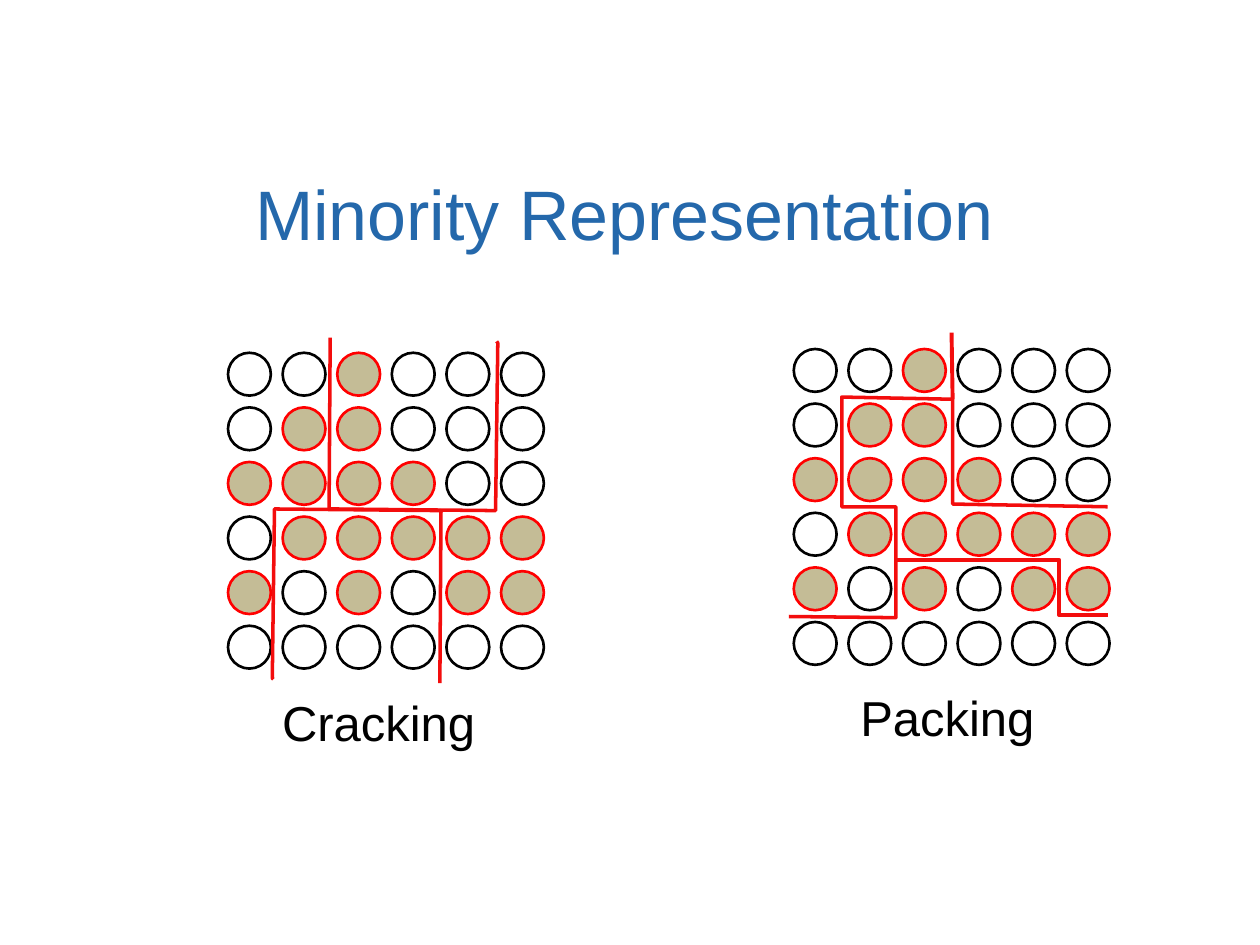
from lxml.etree import SubElement
from pptx import Presentation
from pptx.dml.color import RGBColor
from pptx.enum.shapes import MSO_CONNECTOR as CONN, MSO_SHAPE as SHAPE
from pptx.enum.text import MSO_ANCHOR as ANCHOR, MSO_AUTO_SIZE as AUTO, PP_ALIGN as ALIGN
from pptx.oxml.ns import qn
from pptx.util import Inches, Pt

COLORS = {"title": "2468AB", "text": "000000", "majority": "000000",
          "minority": "FF0000", "fill": "C4BC96", "border": "F30D0D"}
VOTERS = ["..#...", ".##...", "####..", ".#####", "#.#.##", "......"]
PITCH = Inches(2.6) / 6
DIAMETER = Inches(0.34)


class Deck:
    """Holds the style, the slide and the origin of the current voter grid."""

    def __init__(self):
        self.prs = Presentation()
        self.prs.slide_width, self.prs.slide_height = Inches(10), Inches(7.5)
        self.s = self.prs.slides.add_slide(self.prs.slide_layouts[5])
        self.origin = (0, 0)

    def color(self, name):
        return RGBColor.from_string(COLORS[name])

    def at(self, col, row):
        x, y = self.origin
        return round(x + col * PITCH), round(y + row * PITCH)

    def group(self):
        return self.s.shapes.add_group_shape().shapes

    def style_line(self, sp, color, width):
        sp.line.color.rgb = self.color(color)
        sp.line.width = Pt(width)

    def set_text(self, sp, text, size, color, align):
        tf = sp.text_frame
        tf.word_wrap = True
        p = tf.paragraphs[0]
        p.text = text
        p.alignment = align
        p.font.name, p.font.size = "Arial", Pt(size)
        p.font.color.rgb = self.color(color)
        return tf

    def title(self, text):
        sp = self.s.shapes.title
        sp.left, sp.top, sp.width, sp.height = map(Inches, (0.29, 1.24, 9.33, 0.83))
        tf = self.set_text(sp, text, 40, "title", ALIGN.CENTER)
        tf.auto_size, tf.vertical_anchor = AUTO.NONE, ANCHOR.BOTTOM

    def voters(self, rows):
        shapes = self.group()
        for row, marks in enumerate(rows):
            for col, mark in enumerate(marks):
                sp = shapes.add_shape(SHAPE.OVAL, *self.at(col, row), DIAMETER, DIAMETER)
                sp.shadow.inherit = False
                if mark == "#":
                    sp.fill.solid()
                    sp.fill.fore_color.rgb = self.color("fill")
                else:
                    sp.fill.background()
                self.style_line(sp, "minority" if mark == "#" else "majority", 1.5)

    def border(self, shapes, points):
        start, *rest = [self.at(*point) for point in points]
        builder = shapes.build_freeform(*start, scale=1.0)
        builder.add_line_segments(rest, close=False)
        sp = builder.convert_to_shape()
        sp.shadow.inherit = False
        sp.fill.background()
        self.style_line(sp, "border", 2)

    def connector(self, shapes, kind, start, end, bend=None):
        sp = shapes.add_connector(kind, *self.at(*start), *self.at(*end))
        self.style_line(sp, "border", 2.25)
        sp_pr = sp._element.spPr
        SubElement(sp_pr, qn("a:effectLst"))
        if bend is not None:
            guides = sp_pr.find(qn("a:prstGeom")).get_or_add_avLst()
            SubElement(guides, qn("a:gd"), name="adj1", fmla=f"val {round(bend * 100000)}")

    def caption(self, text, left, top, width):
        sp = self.s.shapes.add_textbox(*map(Inches, (left, top, width, 0.57)))
        tf = self.set_text(sp, text, 28, "text", ALIGN.LEFT)
        tf.auto_size = AUTO.SHAPE_TO_FIT_TEXT


def main():
    deck = Deck()
    deck.title("Minority Representation")
    cracking = (Inches(1.81), Inches(2.8))
    packing = (Inches(6.3), Inches(2.77))
    for deck.origin in (cracking, packing):
        deck.voters(VOTERS)

    deck.origin = cracking
    shapes = deck.group()
    deck.border(shapes, [(0.83, 5.98), (0.81, 5.96), (0.85, 2.86), (3.9, 2.89), (3.88, 6.05)])
    deck.border(shapes, [(4.92, -0.21), (4.94, -0.18), (4.9, 2.89), (1.85, 2.86), (1.87, -0.28)])

    deck.origin = packing
    shapes = deck.group()
    deck.border(shapes, [(-0.09, 4.9), (1.87, 4.92), (1.87, 2.89), (0.88, 2.89),
                         (0.88, 0.88), (2.91, 0.92), (2.91, 2.84), (5.75, 2.89)])
    deck.connector(shapes, CONN.STRAIGHT, (2.91, 0.92), (2.89, -0.3))
    deck.connector(shapes, CONN.ELBOW, (1.87, 3.86), (5.75, 4.87), bend=0.77)

    deck.caption("Cracking", 2.14, 5.45, 1.88)
    deck.caption("Packing", 6.73, 5.41, 1.6)
    deck.prs.save("out.pptx")


if __name__ == "__main__":
    main()
